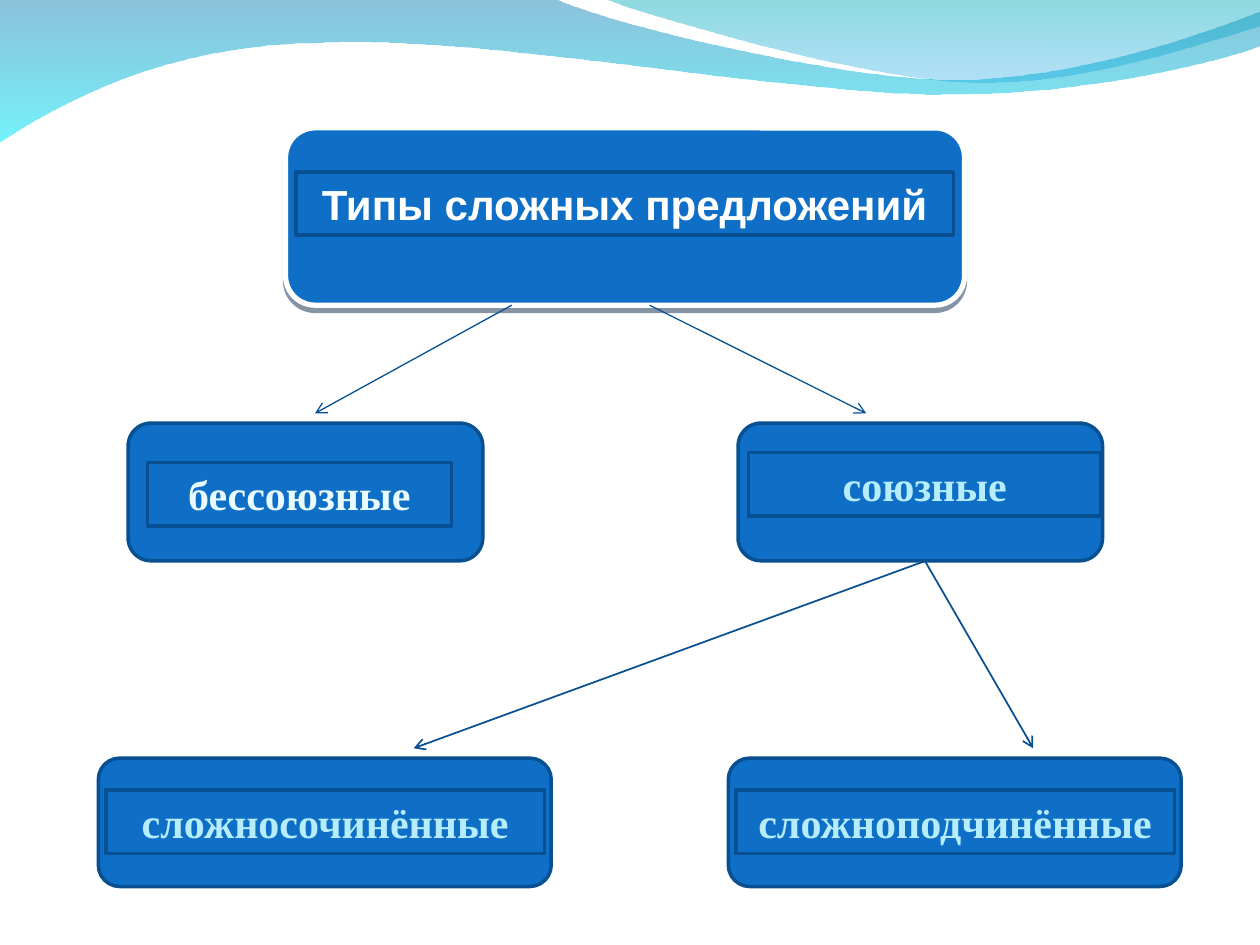
from dataclasses import dataclass
from lxml.etree import Element, SubElement
from pptx import Presentation
from pptx.dml.color import RGBColor as RGB
from pptx.enum.shapes import MSO_CONNECTOR as LINK, MSO_SHAPE as SHAPE
from pptx.enum.text import MSO_ANCHOR as ANCHOR, MSO_AUTO_SIZE as FIT, PP_ALIGN as ALIGN
from pptx.oxml.ns import qn
from pptx.util import Pt


@dataclass(frozen=True)
class Theme:
    fill: str = "0F6FC6"
    edge: str = "085091"
    link: str = "065093"
    white: str = "FFFFFF"
    ice: str = "E8FBFE"
    pale: str = "B5EDFD"
    shade: str = "002041"
    sans: str = "Arial"
    serif: str = "Times New Roman"
    size: int = 24
    # Wave gradients: colour and opacity at top and bottom
    back: tuple = (("0079AF", 45), ("00EBF8", 55))
    front: tuple = (("00ADB6", 45), ("009BE5", 30))


THEME = Theme()


def color(code):
    return RGB.from_string(code)


def paint(shape, edge, width):
    shape.fill.solid()
    shape.fill.fore_color.rgb = color(THEME.fill)
    shape.line.color.rgb = color(edge)
    shape.line.width = Pt(width)


def bend(wave, parts):
    """Join the three points of each curve part into one Bézier segment."""
    lines = iter(list(wave.element.iter(qn("a:lnTo"))))
    for part in parts:
        group = [next(lines) for _ in part]
        if len(group) == 1:
            continue
        curve = Element(qn("a:cubicBezTo"))
        group[0].addprevious(curve)
        for line in group:
            curve.append(line[0])
            line.getparent().remove(line)


def add_wave(slide, start, parts, stops):
    points = [(x * 100, y * 100) for part in parts for x, y in part]
    pen = slide.shapes.build_freeform(start[0] * 100, start[1] * 100, scale=Pt(1) / 100)
    pen.add_line_segments(points, close=True)
    wave = pen.convert_to_shape()
    bend(wave, parts)
    wave.shadow.inherit = False
    wave.line.fill.background()
    wave.fill.gradient()
    wave.fill.gradient_angle = 270
    for stop, place, (code, _) in zip(wave.fill.gradient_stops, (0, 1), stops):
        stop.position = place
        stop.color.rgb = color(code)
    for node, (_, alpha) in zip(wave.element.iter(qn("a:srgbClr")), stops):
        SubElement(node, qn("a:alpha"), val=str(alpha * 1000))


def add_waves(slide, wide):
    add_wave(slide, (0, -0.7), [
        [(317, -0.7)],
        [(342.7, 12.2), (478, 45.4), (545.8, 45.4)],
        [(614, 45.4), (689.8, 18.7), (wide, 6.5)],
        [(wide + 0.7, 26)],
        [(707.8, 31.7), (626.4, 54.7), (537.1, 54)],
        [(447.8, 54), (275, 20.2), (185, 24.5)],
        [(92.9, 25.2), (33.1, 59.8), (-0.7, 81.4)],
    ], THEME.back)
    add_wave(slide, (344.9, -0.7), [
        [(366.5, 8), (491, 44.6), (553.7, 46.8)],
        [(616.3, 49.7), (691.9, 23), (wide, 15.1)],
        [(wide, 0)],
    ], THEME.front)


def add_panel(shapes, box, edge, width):
    panel = shapes.add_shape(SHAPE.FLOWCHART_ALTERNATE_PROCESS, *map(Pt, box))
    panel.shadow.inherit = False
    paint(panel, edge, width)
    return panel


def set_label(label, box, text, font, tint):
    label.left, label.top, label.width, label.height = map(Pt, box)
    paint(label, THEME.edge, 2)
    frame = label.text_frame
    frame.text = text
    frame.word_wrap = True
    frame.auto_size = FIT.NONE
    frame.vertical_anchor = ANCHOR.MIDDLE
    frame.margin_left = frame.margin_right = Pt(7.2)
    frame.margin_top = frame.margin_bottom = Pt(3.6)
    line = frame.paragraphs[0]
    line.alignment = ALIGN.CENTER
    run = line.runs[0].font
    run.name, run.size, run.bold = font, Pt(THEME.size), True
    run.color.rgb = color(tint)


def add_title(slide, box):
    left, top, wide, _ = box
    panel = add_panel(slide.shapes, box, THEME.white, 3)
    effects = panel.element.spPr.find(qn("a:effectLst"))
    shadow = SubElement(effects, qn("a:outerShdw"), blurRad="0",
                        dist=str(Pt(3)), dir="5400000", rotWithShape="0")
    shade = SubElement(shadow, qn("a:srgbClr"), val=THEME.shade)
    SubElement(shade, qn("a:alpha"), val="48000")
    # The title sits on top of its panel
    title = slide.shapes.title
    panel.element.addnext(title.element)
    set_label(title, (left + 5.8, top + 25.2, wide - 12.2, 36),
              "Типы сложных предложений", THEME.sans, THEME.white)


def add_node(slide, box, inset, text, tint):
    left, top, _, _ = box
    dx, dy, wide = inset
    shapes = slide.shapes.add_group_shape().shapes
    add_panel(shapes, box, THEME.edge, 2)
    place = (left + dx, top + dy, wide, 36.4)
    label = shapes.add_shape(SHAPE.RECTANGLE, *map(Pt, place))
    label.shadow.inherit = False
    set_label(label, place, text, THEME.serif, tint)


def add_arrow(slide, start, end, tint, width):
    arrow = slide.shapes.add_connector(LINK.STRAIGHT, *map(Pt, (*start, *end)))
    arrow.line.color.rgb = color(tint)
    arrow.line.width = Pt(width)
    SubElement(arrow.element.spPr.find(qn("a:ln")), qn("a:tailEnd"), type="arrow")
    SubElement(arrow.element.spPr, qn("a:effectLst"))


def add_tree(slide):
    add_title(slide, (163.2, 73.1, 388, 101.3))

    # First level: without and with conjunctions
    for start, end in ((292.5, 180), (371.2, 495)):
        add_arrow(slide, (start, 174.4), (end, 236.2), THEME.link, 0.75)
    add_node(slide, (73.2, 241.8, 202.7, 78.7), (11, 22.4, 173.8),
             "бессоюзные", THEME.ice)
    add_node(slide, (421.8, 241.8, 208.3, 78.7), (5.8, 16.8, 201.7),
             "союзные", THEME.pale)

    # Second level: kinds of conjunction
    for end in (236.4, 590.4):
        add_arrow(slide, (528.6, 320.6), (end, 427.6), THEME.edge, 1)
    for col, text in enumerate(("сложносочинённые", "сложноподчинённые")):
        add_node(slide, (56.2 + 360 * col, 433.2, 258.8, 73.4), (4.3, 18.2, 250.6),
                 text, THEME.pale)


def main():
    deck = Presentation()
    deck.slide_width, deck.slide_height = Pt(720), Pt(540)
    slide = deck.slides.add_slide(deck.slide_layouts[5])
    add_waves(slide, 720)
    add_tree(slide)
    deck.save("out.pptx")


if __name__ == "__main__":
    main()
